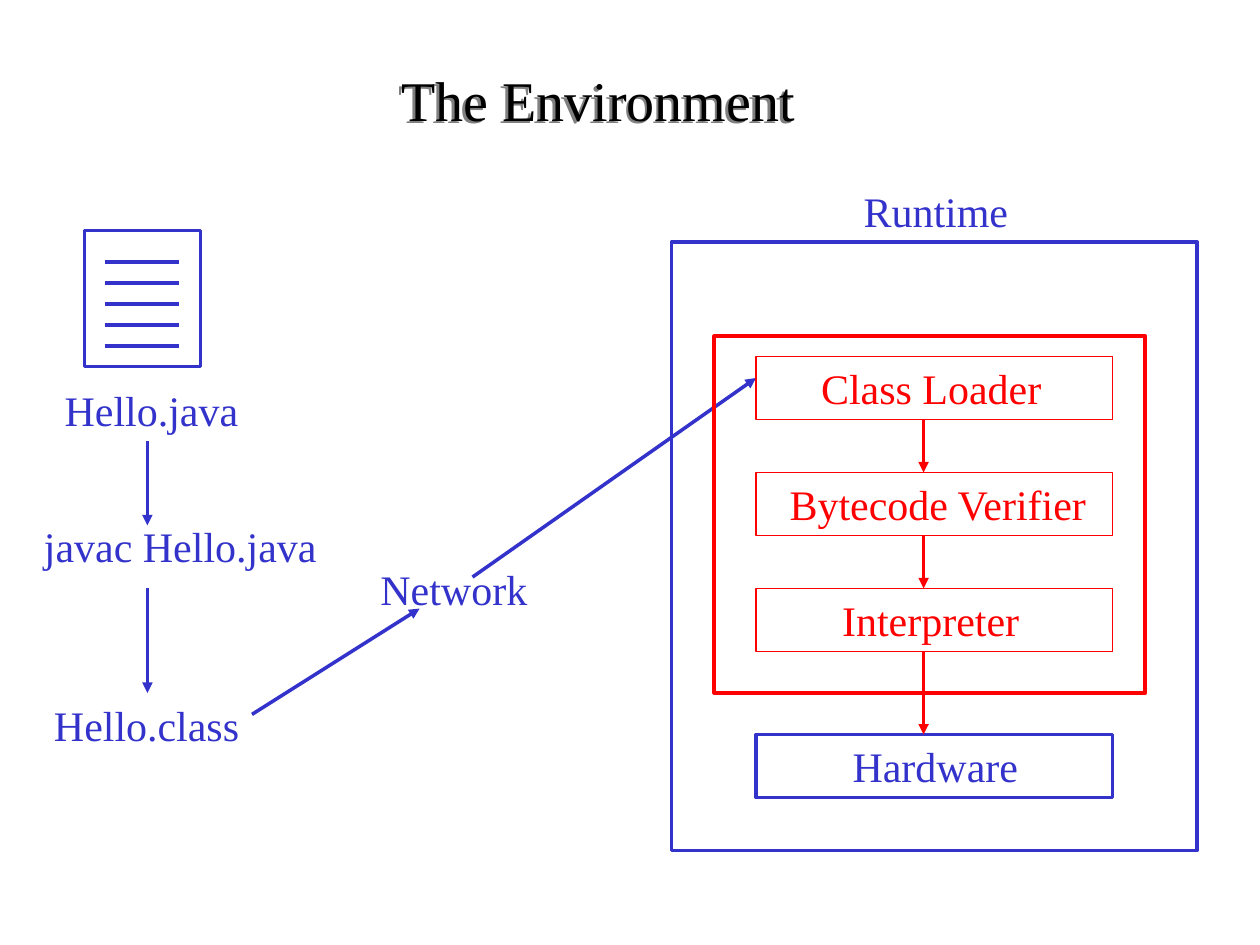
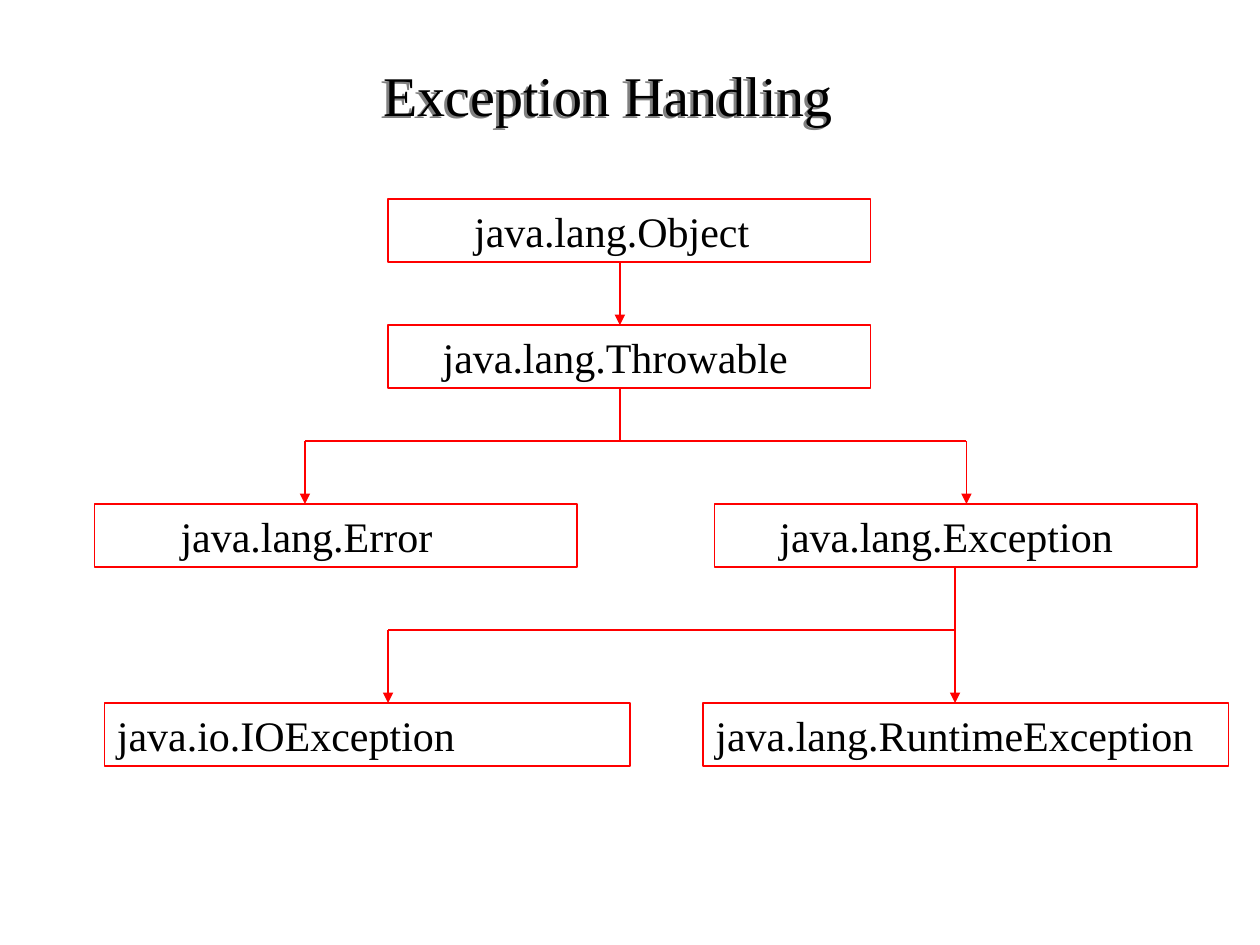
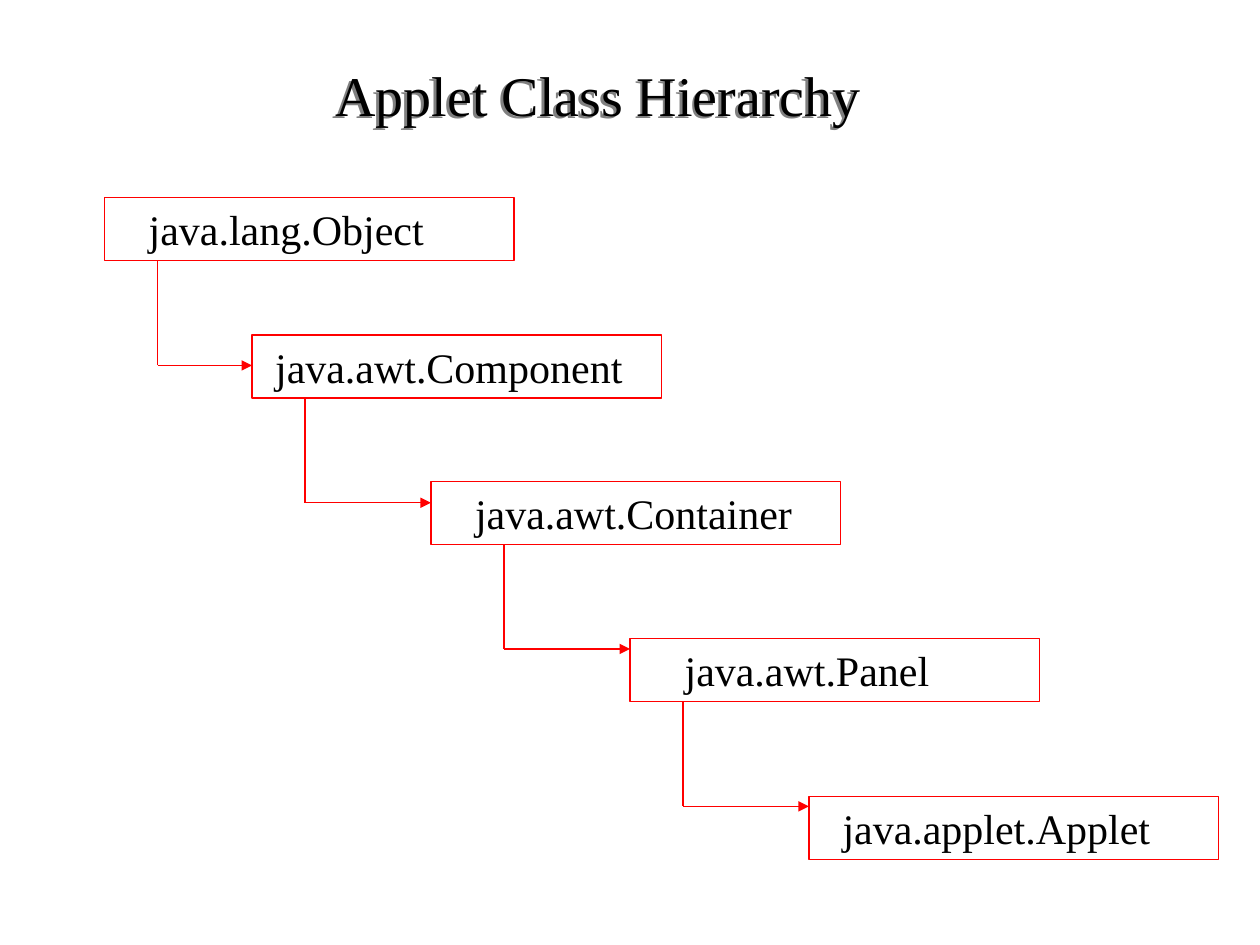
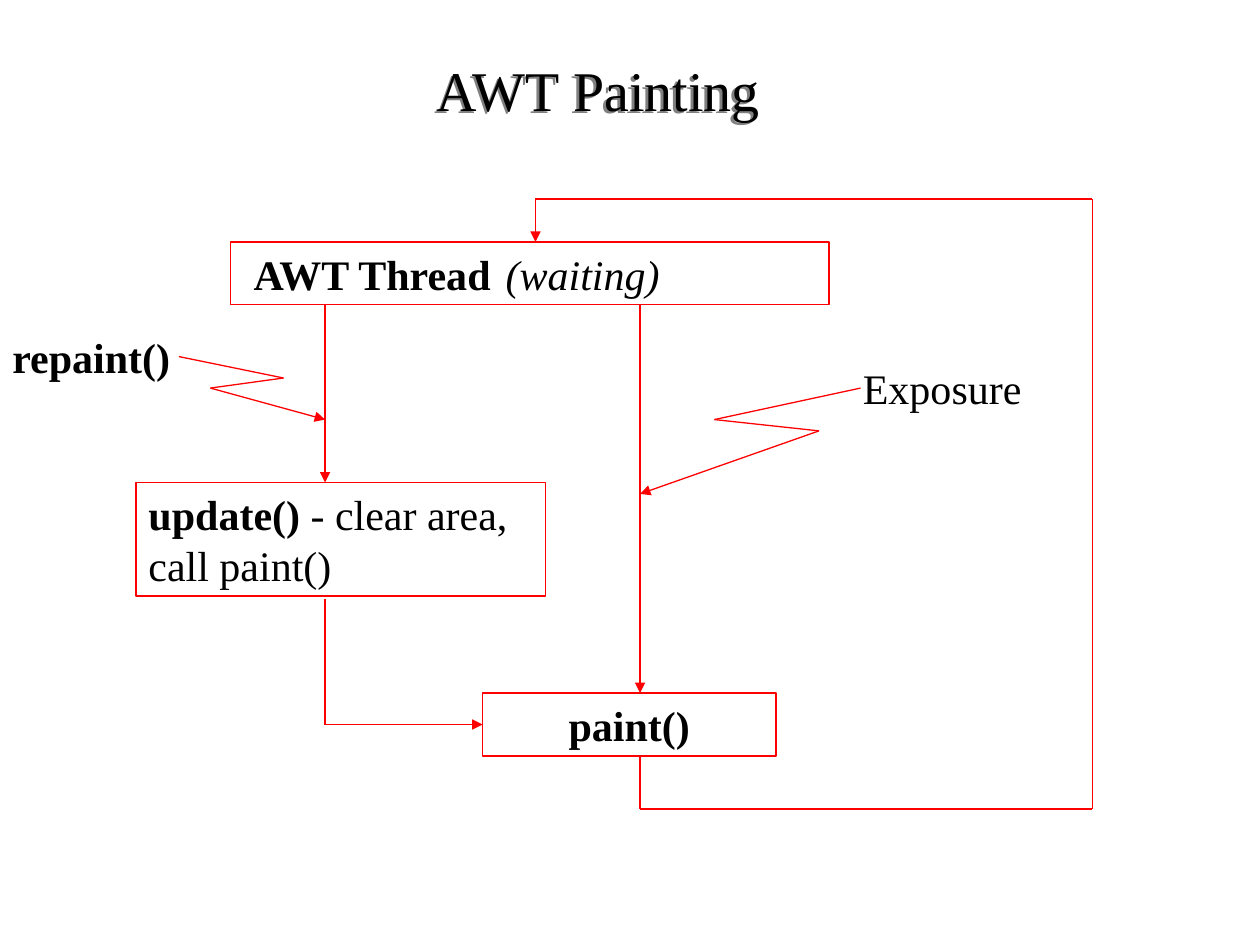
"""Build four slides of Java diagrams: boxes, labels and arrows."""
from dataclasses import dataclass
from itertools import pairwise
from typing import Any, Sequence

import lxml.etree
import pptx
import pptx.dml.color
import pptx.enum.shapes
import pptx.enum.text
import pptx.oxml
import pptx.oxml.ns
import pptx.util

Inches = pptx.util.Inches
Pt = pptx.util.Pt

BLACK = pptx.dml.color.RGBColor(0x00, 0x00, 0x00)
BLUE = pptx.dml.color.RGBColor(0x33, 0x33, 0xCC)
RED = pptx.dml.color.RGBColor(0xFF, 0x00, 0x00)

FONT_NAME = "Times New Roman"
THIN, THICK, HEAVY = 0.74, 2.01, 2.24
BOX_HEIGHT = 0.5
INDENT_STEP = 1 / 12
TITLE_ONLY_LAYOUT = 5

FRAME_FORMAT = {
    "word_wrap": True,
    "margin_right": Inches(0.1),
    "margin_top": Inches(0.05),
    "margin_bottom": Inches(0.05),
}
BODY_FRAME_FORMAT = FRAME_FORMAT | {
    "vertical_anchor": pptx.enum.text.MSO_ANCHOR.TOP,
    "auto_size": pptx.enum.text.MSO_AUTO_SIZE.SHAPE_TO_FIT_TEXT,
}
TITLE_FRAME_FORMAT = FRAME_FORMAT | {
    "margin_left": Inches(0.1),
    "vertical_anchor": pptx.enum.text.MSO_ANCHOR.MIDDLE,
    "auto_size": pptx.enum.text.MSO_AUTO_SIZE.NONE,
}
BODY_PARAGRAPH_FORMAT = {
    "alignment": pptx.enum.text.PP_ALIGN.LEFT,
    "space_before": Pt(15),
    "line_spacing": Pt(28.8),
}
TITLE_SHADOW = (
    f"<a:effectLst {pptx.oxml.ns.nsdecls('a')}>"
    '<a:outerShdw dist="25400" dir="8700000" algn="ctr" rotWithShape="0">'
    '<a:srgbClr val="808080"/></a:outerShdw></a:effectLst>'
)

Point = tuple[float, float]


@dataclass(frozen=True)
class Span:
    """A stretch of text in one style."""

    text: str
    bold: bool = False
    italic: bool = False


@dataclass(frozen=True)
class Label:
    """A text with its place; indent counts steps of a twelfth of an inch."""

    left: float
    top: float
    width: float
    spans: Sequence[Span]
    indent: int = 0
    color: pptx.dml.color.RGBColor = BLACK
    height: float = BOX_HEIGHT


@dataclass(frozen=True)
class Stroke:
    """Colour and width of a line."""

    color: pptx.dml.color.RGBColor = RED
    width: float = THIN


THIN_RED = Stroke()
THICK_RED = Stroke(RED, THICK)
THICK_BLUE = Stroke(BLUE, THICK)


def apply_format(target: Any, values: dict[str, Any]) -> None:
    """Set each named attribute of the target."""
    for name, value in values.items():
        setattr(target, name, value)


def format_font(font: Any, size: float, color: pptx.dml.color.RGBColor,
                bold: bool = False, italic: bool = False) -> None:
    """Give a font the shared face and its own size, colour and style."""
    apply_format(font, {"name": FONT_NAME, "size": Pt(size), "bold": bold, "italic": italic})
    font.color.rgb = color


def apply_stroke(line: Any, stroke: Stroke) -> None:
    """Give a line its colour and width."""
    line.color.rgb = stroke.color
    line.width = Pt(stroke.width)


def write_label(shape: Any, label: Label) -> None:
    """Fill a shape with the label's text."""
    frame = shape.text_frame
    apply_format(frame, BODY_FRAME_FORMAT)
    frame.margin_left = Inches(0.1 + label.indent * INDENT_STEP)
    paragraph = frame.paragraphs[0]
    apply_format(paragraph, BODY_PARAGRAPH_FORMAT)
    for span in label.spans:
        run = paragraph.add_run()
        run.text = span.text
        format_font(run.font, 24, label.color, span.bold, span.italic)


def add_frame(shapes: Any, left: float, top: float, width: float, height: float,
              stroke: Stroke) -> Any:
    """Draw an outlined rectangle without fill."""
    shape = shapes.add_shape(pptx.enum.shapes.MSO_SHAPE.RECTANGLE, Inches(left),
                             Inches(top), Inches(width), Inches(height))
    shape.shadow.inherit = False
    shape.fill.background()
    apply_stroke(shape.line, stroke)
    return shape


def add_box(shapes: Any, label: Label, stroke: Stroke = THIN_RED) -> None:
    """Draw a label inside an outlined rectangle."""
    write_label(add_frame(shapes, label.left, label.top, label.width, label.height, stroke), label)


def add_text(shapes: Any, label: Label) -> None:
    """Draw a label without outline."""
    write_label(shapes.add_textbox(Inches(label.left), Inches(label.top),
                                   Inches(label.width), Inches(label.height)), label)


def add_route(shapes: Any, points: Sequence[Point], stroke: Stroke = THIN_RED,
              arrow: bool = True) -> None:
    """Join points with straight connectors, with an arrowhead at the last one."""
    for start, end in pairwise(points):
        connector = shapes.add_connector(pptx.enum.shapes.MSO_CONNECTOR.STRAIGHT,
                                         *map(Inches, start + end))
        apply_stroke(connector.line, stroke)
        properties = connector._element.spPr
        lxml.etree.SubElement(properties, pptx.oxml.ns.qn("a:effectLst"))
    if arrow:
        lxml.etree.SubElement(connector.line._get_or_add_ln(),
                              pptx.oxml.ns.qn("a:tailEnd"), type="triangle")


def add_titled_slide(presentation: Any, title: str, top: float, height: float,
                     left: float = 0.5) -> Any:
    """Add a slide with a shadowed title and return it."""
    slide = presentation.slides.add_slide(presentation.slide_layouts[TITLE_ONLY_LAYOUT])
    shape = slide.shapes.title
    apply_format(shape, {"left": Inches(left), "top": Inches(top),
                         "width": Inches(8.5), "height": Inches(height)})
    shape.fill.background()
    shape._element.spPr.append(pptx.oxml.parse_xml(TITLE_SHADOW))
    frame = shape.text_frame
    apply_format(frame, TITLE_FRAME_FORMAT)
    paragraph = frame.paragraphs[0]
    paragraph.alignment = pptx.enum.text.PP_ALIGN.CENTER
    run = paragraph.add_run()
    run.text = title
    format_font(run.font, 32, BLACK)
    return slide


def build_environment(presentation: Any) -> None:
    """Show the way from source file to runtime."""
    shapes = add_titled_slide(presentation, "The Environment", 0.33, 0.92).shapes

    document = shapes.add_group_shape().shapes
    add_frame(document, 0.67, 1.83, 0.92, 1.08, THICK_BLUE)
    for row in range(5):
        y = 2.08 + row / 6
        add_route(document, [(0.83, y), (1.42, y)], THICK_BLUE, arrow=False)

    for left, top, width, indent, text in (
        (0.33, 3, 1.83, 1, "Hello.java"),
        (0.25, 4.08, 2.58, 0, "javac Hello.java"),
        (0.33, 5.5, 2, 0, "Hello.class"),
        (2.92, 4.42, 1.58, 0, "Network"),
    ):
        add_text(shapes, Label(left, top, width, [Span(text)], indent, BLUE))
    for route in (
        [(1.17, 3.5), (1.17, 4.17)],
        [(1.17, 4.67), (1.17, 5.5)],
        [(2, 5.67), (3.33, 4.83)],
        [(3.75, 4.58), (6, 3)],
    ):
        add_route(shapes, route, THICK_BLUE)

    runtime = shapes.add_group_shape().shapes
    add_text(runtime, Label(6.17, 1.42, 2.75, [Span("Runtime")], 7, BLUE))
    add_frame(runtime, 5.33, 1.92, 4.17, 4.83, THICK_BLUE)
    add_frame(runtime, 5.67, 2.67, 3.42, 2.83, Stroke(RED, HEAVY))
    stages = (
        (2.83, 5, "Class Loader", THIN_RED),
        (3.75, 2, "Bytecode Verifier", THIN_RED),
        (4.67, 7, "Interpreter", THIN_RED),
        (5.83, 8, "Hardware", THICK_BLUE),
    )
    for top, indent, text, stroke in stages:
        add_box(runtime, Label(6, top, 2.83, [Span(text)], indent, stroke.color), stroke)
    for upper, lower in pairwise(stages):
        add_route(runtime, [(7.33, upper[0] + BOX_HEIGHT), (7.33, lower[0])], THICK_RED)


def build_exceptions(presentation: Any) -> None:
    """Show the tree of exception classes."""
    shapes = add_titled_slide(presentation, "Exception Handling", 0.25, 1, left=0.58).shapes
    for left, top, width, indent, text in (
        (3.08, 1.58, 3.83, 7, "java.lang.Object"),
        (3.08, 2.58, 3.83, 4, "java.lang.Throwable"),
        (5.67, 4, 3.83, 5, "java.lang.Exception"),
        (0.75, 4, 3.83, 7, "java.lang.Error"),
        (5.58, 5.58, 4.17, 0, "java.lang.RuntimeException"),
        (0.83, 5.58, 4.17, 0, "java.io.IOException"),
    ):
        add_box(shapes, Label(left, top, width, [Span(text)], indent))
    add_route(shapes, [(4.92, 3.08), (4.92, 3.5)], arrow=False)
    for route in (
        [(4.92, 2.08), (4.92, 2.58)],
        [(4.92, 3.5), (7.67, 3.5), (7.67, 4)],
        [(4.92, 3.5), (2.42, 3.5), (2.42, 4)],
        [(7.58, 4.5), (7.58, 5.58)],
        [(7.58, 5), (3.08, 5), (3.08, 5.58)],
    ):
        add_route(shapes, route)


def build_applet_hierarchy(presentation: Any) -> None:
    """Show the staircase of classes above an applet."""
    slide = add_titled_slide(presentation, "Applet Class Hierarchy", 0.25, 1)
    staircase = slide.shapes.add_group_shape().shapes
    classes = (
        Label(0.83, 1.57, 3.25, [Span("java.lang.Object")], 3),
        Label(2, 2.66, 3.25, [Span("java.awt.Component")], 1),
        Label(3.42, 3.82, 3.25, [Span("java.awt.Container")], 3),
        Label(5, 5.07, 3.25, [Span("java.awt.Panel")], 4),
        Label(6.42, 6.32, 3.25, [Span("java.applet.Applet")], 2),
    )
    for label in classes:
        add_box(staircase, label)
    for (parent, child), x in zip(pairwise(classes), (1.25, 2.42, 4, 5.42)):
        bottom = parent.top + parent.height
        bend = bottom + 0.83
        add_route(staircase, [(x, bottom), (x, bend), (child.left, bend)])


def build_painting(presentation: Any) -> None:
    """Show how the drawing thread reaches paint()."""
    shapes = add_titled_slide(presentation, "AWT Painting", 0.17, 1.08).shapes
    waiting = [Span("AWT Thread\t", bold=True), Span("(waiting)", italic=True)]
    update = [Span("update()", bold=True), Span(" - clear area, call paint()")]
    add_box(shapes, Label(1.83, 1.92, 4.75, waiting, 1))
    add_box(shapes, Label(1.08, 3.83, 3.25, update, height=0.9))
    add_box(shapes, Label(3.83, 5.5, 2.33, [Span("paint()", bold=True)], 7))
    add_text(shapes, Label(6.75, 2.83, 1.5, [Span("Exposure")]))
    add_text(shapes, Label(0, 2.58, 1.83, [Span("repaint()", bold=True)]))
    for route in (
        [(2.58, 2.42), (2.58, 3.83)],
        [(2.58, 4.75), (2.58, 5.75), (3.83, 5.75)],
        [(5.08, 2.42), (5.08, 5.5)],
        [(5.08, 6), (5.08, 6.42), (8.67, 6.42), (8.67, 1.58), (4.25, 1.58), (4.25, 1.92)],
        [(1.42, 2.83), (2.25, 3), (1.67, 3.08), (2.58, 3.33)],
        [(6.83, 3.08), (5.67, 3.33), (6.5, 3.42), (5.08, 3.92)],
    ):
        add_route(shapes, route)


def main() -> None:
    """Build and save the presentation."""
    presentation = pptx.Presentation()
    presentation.slide_width = Inches(10)
    presentation.slide_height = Inches(7.5)
    for build in (build_environment, build_exceptions, build_applet_hierarchy, build_painting):
        build(presentation)
    presentation.save("out.pptx")


main()
